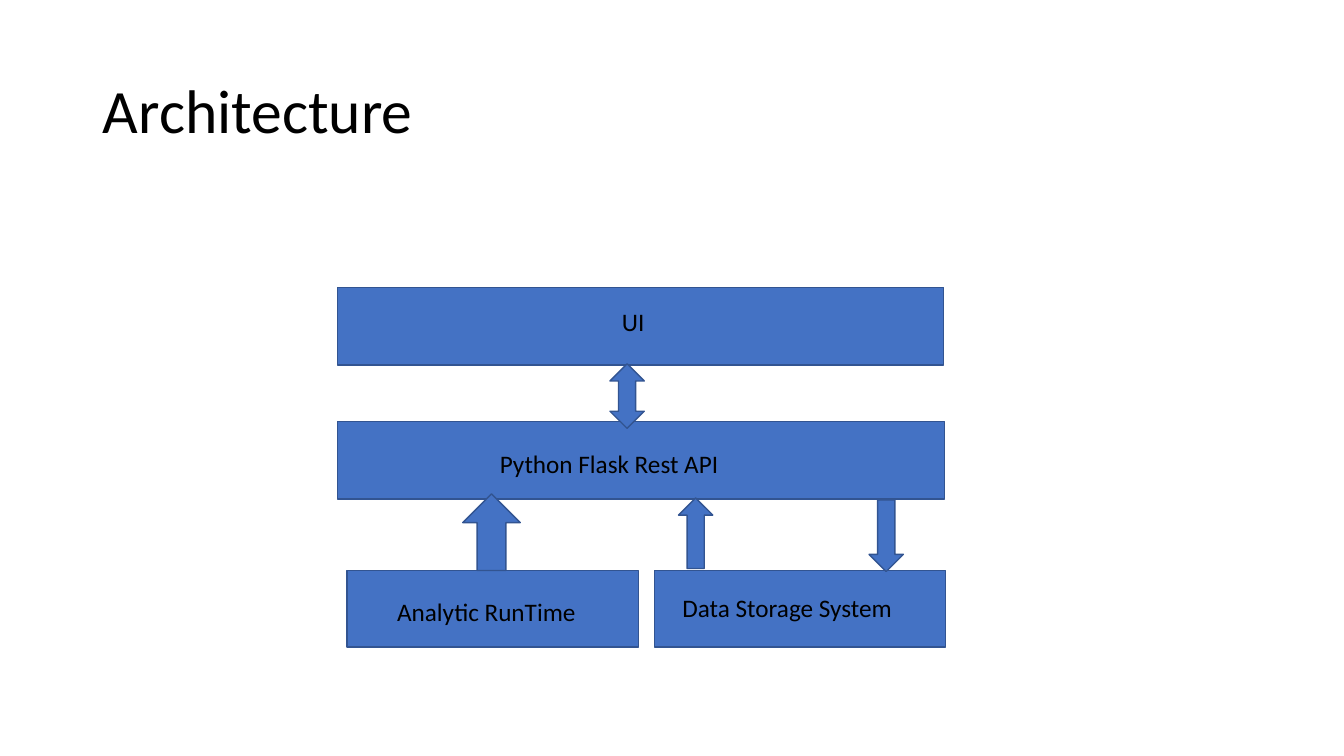
from dataclasses import dataclass

from pptx import Presentation
from pptx.dml.color import RGBColor
from pptx.enum.shapes import MSO_SHAPE
from pptx.enum.text import MSO_ANCHOR, PP_ALIGN
from pptx.slide import Slide
from pptx.text.text import TextFrame
from pptx.util import Inches, Pt


@dataclass(frozen=True)
class Theme:
    font: str = "Calibri"
    text: RGBColor = RGBColor(0, 0, 0)
    fill: RGBColor = RGBColor(0x44, 0x72, 0xC4)
    outline: RGBColor = RGBColor(0x32, 0x54, 0x91)
    title_size: Pt = Pt(44)
    label_size: Pt = Pt(18)
    outline_width: Pt = Pt(1)


@dataclass(frozen=True)
class Block:
    kind: MSO_SHAPE
    left: float
    top: float
    width: float
    height: float


@dataclass(frozen=True)
class Label:
    text: str
    left: float
    top: float
    width: float


THEME = Theme()
LABEL_HEIGHT = 0.4
LOWER_TOP = 5.66
LAYER_LEFT = 3.35
LAYER_HEIGHT = 0.77
LOWER_SIZE = (2.89, 0.76)
ARROW_WIDTH = 0.34

LAYERS = [
    Block(MSO_SHAPE.RECTANGLE, 3.44, LOWER_TOP, *LOWER_SIZE),
    Block(MSO_SHAPE.RECTANGLE, LAYER_LEFT, 4.18, 6.02, LAYER_HEIGHT),
    Block(MSO_SHAPE.RECTANGLE, LAYER_LEFT, 2.85, 6.01, LAYER_HEIGHT),
    Block(MSO_SHAPE.RECTANGLE, 6.49, LOWER_TOP, *LOWER_SIZE),
]
LABELS = [
    Label("Analytic RunTime", 3.84, 5.87, 2.32),
    Label("Python Flask Rest API", 4.86, 4.4, 3.47),
    Label("Data Storage System", 6.67, 5.83, 2.32),
    Label("UI", 6.07, 2.99, 1.91),
]
ARROWS = [
    Block(MSO_SHAPE.DOWN_ARROW, 8.62, 4.96, ARROW_WIDTH, 0.71),
    Block(MSO_SHAPE.UP_ARROW, 6.73, 4.94, ARROW_WIDTH, 0.7),
    Block(MSO_SHAPE.UP_ARROW, 4.59, 4.9, 0.57, 0.76),
    Block(MSO_SHAPE.UP_DOWN_ARROW, 6.05, 3.61, ARROW_WIDTH, 0.64),
]


def write_text(frame: TextFrame, text: str, size: Pt) -> None:
    frame.text = text
    frame.word_wrap = True
    paragraph = frame.paragraphs[0]
    paragraph.alignment = PP_ALIGN.LEFT
    font = paragraph.runs[0].font
    for name, value in {"name": THEME.font, "size": size}.items():
        setattr(font, name, value)
    font.color.rgb = THEME.text


def draw_title(slide: Slide, text: str) -> None:
    title = slide.shapes.title
    position = {"left": 0.92, "top": 0.4, "width": 11.5, "height": 1.45}
    for name, value in position.items():
        setattr(title, name, Inches(value))
    write_text(title.text_frame, text, THEME.title_size)
    title.text_frame.vertical_anchor = MSO_ANCHOR.MIDDLE
    title.text_frame.paragraphs[0].line_spacing = 0.9


def draw_block(slide: Slide, block: Block) -> None:
    shape = slide.shapes.add_shape(
        block.kind, Inches(block.left), Inches(block.top),
        Inches(block.width), Inches(block.height))
    shape.shadow.inherit = False
    shape.fill.solid()
    shape.fill.fore_color.rgb = THEME.fill
    shape.line.color.rgb = THEME.outline
    shape.line.width = THEME.outline_width


def draw_label(slide: Slide, label: Label) -> None:
    box = slide.shapes.add_textbox(
        Inches(label.left), Inches(label.top),
        Inches(label.width), Inches(LABEL_HEIGHT))
    write_text(box.text_frame, label.text, THEME.label_size)


# Slide with its title
presentation = Presentation()
presentation.slide_width = Inches(13.33)
presentation.slide_height = Inches(7.5)
title_only = presentation.slide_layouts.get_by_name("Title Only")
slide = presentation.slides.add_slide(title_only)
draw_title(slide, "Architecture")

# Layers, their labels, and the arrows between them
for layer in LAYERS:
    draw_block(slide, layer)
for label in LABELS:
    draw_label(slide, label)
for arrow in ARROWS:
    draw_block(slide, arrow)

presentation.save("out.pptx")
